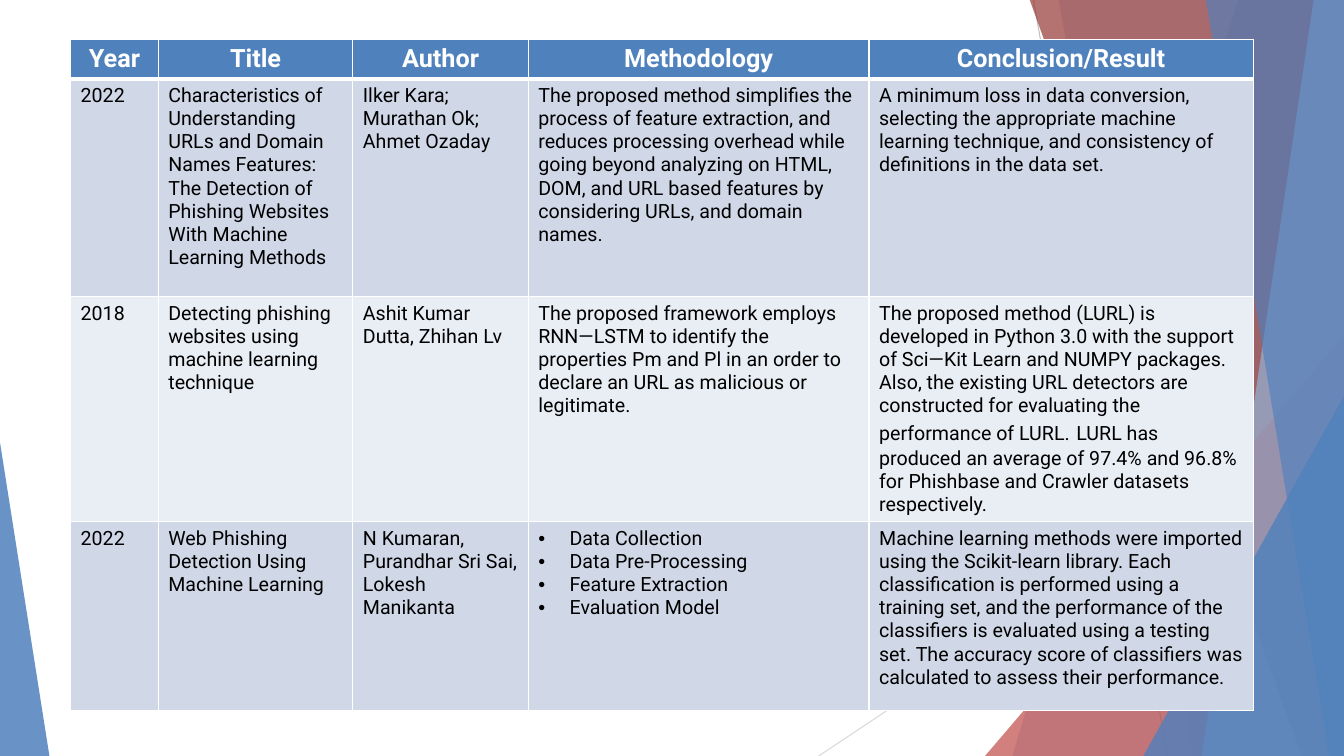
from dataclasses import dataclass

from lxml import etree
from pptx import Presentation
from pptx import util as u
from pptx.dml.color import RGBColor
from pptx.enum import shapes, text
from pptx.oxml import ns

Inches = u.Inches


@dataclass(frozen=True)
class Theme:
    font: str = "Roboto"
    blue: str = "4F81BD"
    pale_blue: str = "95B3D7"
    red: str = "C0504D"
    dark_red: str = "953735"
    white: str = "FFFFFF"
    black: str = "000000"
    band_dark: str = "D0D8E8"
    band_light: str = "E9EDF4"
    line_dark: str = "BFBFBF"
    line_light: str = "D9D9D9"
    heading_size: int = 18
    body_size: int = 14


THEME = Theme()
WIDTH, HEIGHT = 13.33, 7.5
TOP = -0.01  # the facets begin a hair above the slide

HEADINGS = ["Year", "Title", "Author", "Methodology", "Conclusion/Result"]
COLUMN_WIDTHS = [0.87, 1.93, 1.74, 3.38, 3.81]
ROW_HEIGHTS = [0.38, 2.16, 2.23, 1.87]

# A list is a set of bullets; a tuple is a paragraph of several runs
STUDIES = [
    ["2022",
     "Characteristics of Understanding URLs and Domain Names Features: The Detection of "
     "Phishing Websites With Machine Learning Methods",
     "Ilker Kara; Murathan Ok; Ahmet Ozaday",
     "The proposed method simplifies the process of feature extraction, and reduces "
     "processing overhead while going beyond analyzing on HTML, DOM, and URL based features "
     "by considering URLs, and domain names.",
     "A minimum loss in data conversion, selecting the appropriate machine learning "
     "technique, and consistency of definitions in the data set."],
    ["2018",
     "Detecting phishing websites using machine learning technique",
     "Ashit Kumar Dutta, Zhihan Lv",
     "The proposed framework employs RNN—LSTM to identify the properties Pm and Pl in an "
     "order to declare an URL as malicious or legitimate.",
     ("The proposed method (LURL) is developed in Python 3.0 with the support of Sci—Kit "
      "Learn and NUMPY packages. Also, the existing URL detectors are constructed for "
      "evaluating the performance of LURL.",
      " ",
      "LURL has produced an average of 97.4% and 96.8% for Phishbase and Crawler datasets "
      "respectively.")],
    ["2022",
     "Web Phishing Detection Using Machine Learning",
     "N Kumaran, Purandhar Sri Sai, Lokesh Manikanta",
     ["Data Collection", "Data Pre-Processing", "Feature Extraction", "Evaluation Model"],
     "Machine learning methods were imported using the Scikit-learn library. Each "
     "classification is performed using a training set, and the performance of the "
     "classifiers is evaluated using a testing set. The accuracy score of classifiers was "
     "calculated to assess their performance."],
]

HEADING_FORMAT = {"name": THEME.font, "size": u.Pt(THEME.heading_size), "bold": True}
BODY_FORMAT = {"name": THEME.font, "size": u.Pt(THEME.body_size), "bold": False}
SPACER_FORMAT = BODY_FORMAT | {"size": u.Pt(THEME.heading_size)}


def rgb(colour):
    return RGBColor.from_string(colour)


def paint_facet(facet, colour, opacity):
    facet.shadow.inherit = False
    facet.line.fill.background()
    facet.fill.solid()
    facet.fill.fore_color.rgb = rgb(colour)
    shade = facet._element.spPr.find(".//" + ns.qn("a:srgbClr"))
    etree.SubElement(shade, ns.qn("a:alpha"), val=str(opacity * 1000))


def add_ray(slide, start, end, colour):
    ray = slide.shapes.add_connector(
        shapes.MSO_CONNECTOR.STRAIGHT, *map(Inches, start + end))
    ray.line.color.rgb = rgb(colour)
    ray.line.width = u.Pt(0.75)
    etree.SubElement(ray._element.spPr, ns.qn("a:effectLst"))


def add_blade(slide, top_left, bottom_left, colour, opacity):
    """A facet that runs from a slanted left edge to the slide's right edge."""
    corners = [(top_left, TOP), (WIDTH, TOP), (WIDTH, HEIGHT), (bottom_left, HEIGHT)]
    points = [(Inches(x), Inches(y)) for x, y in corners]
    outline = slide.shapes.build_freeform(*points[0])
    outline.add_line_segments(points[1:], close=True)
    paint_facet(outline.convert_to_shape(), colour, opacity)


def add_corner(slide, left, top, width, apex, colour, opacity):
    """A triangle that stands on the slide's bottom edge."""
    corner = slide.shapes.add_shape(
        shapes.MSO_SHAPE.ISOSCELES_TRIANGLE,
        *map(Inches, (left, top, width, HEIGHT - top)))
    corner.adjustments[0] = apex
    paint_facet(corner, colour, opacity)


def add_bullet(paragraph):
    props = paragraph._p.get_or_add_pPr()
    props.set("marL", str(Inches(0.31)))
    props.set("indent", str(Inches(-0.31)))
    etree.SubElement(props, ns.qn("a:buFont"), typeface="Arial")
    etree.SubElement(props, ns.qn("a:buChar"), char="•")


def add_run(paragraph, words, formats, colour):
    run = paragraph.add_run()
    run.text = words
    for name, value in formats.items():
        setattr(run.font, name, value)
    run.font.color.rgb = rgb(colour)


def add_borders(cell, bottom):
    props = cell._tc.get_or_add_tcPr()
    sides = {"a:lnL": 1, "a:lnR": 1, "a:lnT": 1, "a:lnB": bottom}
    for place, (side, points) in enumerate(sides.items()):
        border = etree.Element(ns.qn(side), w=str(u.Pt(points)))
        fill = etree.SubElement(border, ns.qn("a:solidFill"))
        etree.SubElement(fill, ns.qn("a:srgbClr"), val=THEME.white)
        props.insert(place, border)


def fill_cell(cell, content, background, formats, colour, align=None, bottom=1):
    cell.fill.solid()
    cell.fill.fore_color.rgb = rgb(background)
    add_borders(cell, bottom)
    frame = cell.text_frame
    bulleted = isinstance(content, list)
    for index, entry in enumerate(content if bulleted else [content]):
        paragraph = frame.add_paragraph() if index else frame.paragraphs[0]
        paragraph.alignment = align
        if bulleted:
            add_bullet(paragraph)
        for words in entry if isinstance(entry, tuple) else (entry,):
            add_run(paragraph, words, SPACER_FORMAT if words == " " else formats, colour)


def add_study_table(slide):
    table = slide.shapes.add_table(
        len(ROW_HEIGHTS), len(HEADINGS), Inches(0.7), Inches(0.39),
        Inches(sum(COLUMN_WIDTHS)), Inches(sum(ROW_HEIGHTS))).table
    for column, width in zip(table.columns, COLUMN_WIDTHS):
        column.width = Inches(width)
    for row, height in zip(table.rows, ROW_HEIGHTS):
        row.height = Inches(height)
    for cell, heading in zip(table.rows[0].cells, HEADINGS):
        fill_cell(cell, heading, THEME.blue, HEADING_FORMAT, THEME.white,
                  text.PP_ALIGN.CENTER, bottom=3)
    for number, study in enumerate(STUDIES, 1):
        band = THEME.band_dark if number % 2 else THEME.band_light
        for cell, content in zip(table.rows[number].cells, study):
            fill_cell(cell, content, band, BODY_FORMAT, THEME.black)


def main():
    deck = Presentation()
    deck.slide_width, deck.slide_height = Inches(WIDTH), Inches(HEIGHT)
    slide = deck.slides.add_slide(deck.slide_layouts[6])

    # Faceted backdrop, back to front
    add_ray(slide, (10.25, 0), (11.58, HEIGHT), THEME.line_dark)
    add_ray(slide, (WIDTH, 4.03), (8.12, HEIGHT), THEME.line_light)
    add_blade(slide, 12.28, 10.04, THEME.blue, 30)
    add_blade(slide, 10.5, 11.83, THEME.blue, 20)
    add_corner(slide, 9.77, 3.33, 3.56, 1, THEME.red, 72)
    add_blade(slide, 10.21, 12.91, THEME.dark_red, 70)
    add_blade(slide, 13.03, 11.92, THEME.pale_blue, 70)
    add_blade(slide, 11.96, 13.18, THEME.blue, 65)
    add_corner(slide, 11.34, 3.93, 1.99, 1, THEME.blue, 80)
    add_corner(slide, 0, 4.39, 0.49, 0, THEME.blue, 85)

    # Literature survey
    add_study_table(slide)
    deck.save("out.pptx")


if __name__ == "__main__":
    main()
